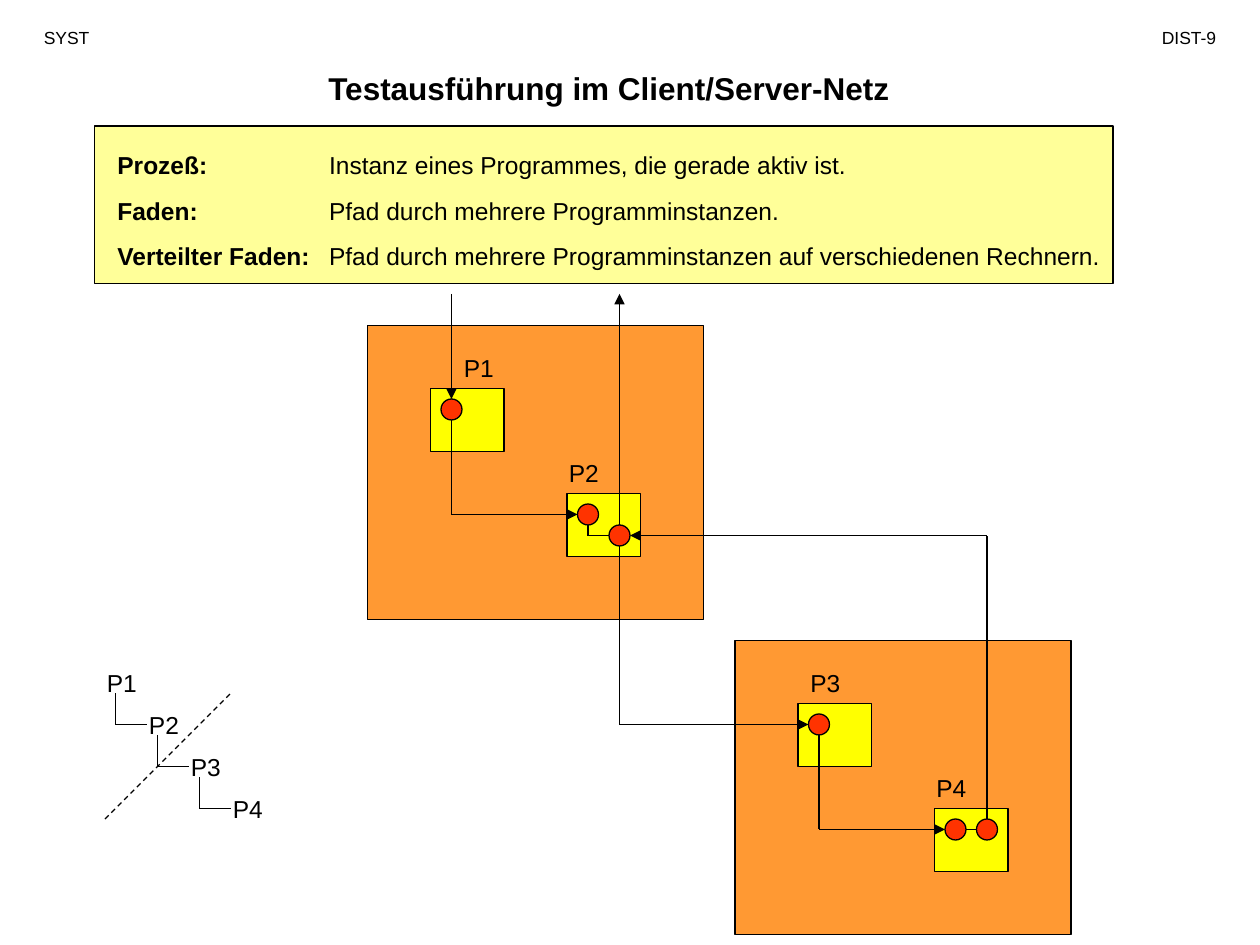
from lxml.etree import SubElement
from pptx import Presentation
from pptx.dml.color import RGBColor
from pptx.enum.dml import MSO_LINE_DASH_STYLE as Dash
from pptx.enum.shapes import MSO_CONNECTOR as Connector, MSO_SHAPE as Preset
from pptx.enum.text import MSO_ANCHOR as Anchor, PP_ALIGN as Align
from pptx.oxml.ns import qn
from pptx.util import Emu, Inches, Pt

THEME = {
    "font": "Arial", "ink": "000000", "panel": "FFFF99", "computer": "FF9933",
    "process": "FFFF00", "dot": "FF3300", "line": 0.75,
    "title": 18, "body": 14, "header": 10,
}

# Content; all places are in grid units of 1/12 inch
UNIT = Inches(1 / 12)
HEADINGS = [  # text, left, top, width, height, format
    ("Testausführung im Client/Server-Netz", (9, 6, 98, 4.8),
     {"size": "title", "bold": True, "align": Align.CENTER}),
    ("SYST", (3, 2, 11, 3.2), {"size": "header"}),
    ("DIST-9", (104, 2, 13, 3.2), {"size": "header", "align": Align.RIGHT}),
]
DEFINITIONS = [
    ("Prozeß:", "Instanz eines Programmes, die gerade aktiv ist."),
    ("Faden:", "Pfad durch mehrere Programminstanzen."),
    ("Verteilter Faden:",
     "Pfad durch mehrere Programminstanzen auf verschiedenen Rechnern."),
]
DEFINITION_TAB = 1.68
DEFINITION_GAP = 9.3

COMPUTERS = [(35, 31), (70, 61)]
COMPUTER_SIZE = (32, 28)
PROCESS_OFFSETS = [(6, 6), (19, 16)]  # inside each computer
PROCESS_SIZE = (7, 6)
DOT_CENTRES = [(43, 39), (56, 49), (59, 51), (78, 69), (91, 79), (94, 79)]
LABELS = {"P1": (43, 33), "P2": (53, 43), "P3": (76, 63), "P4": (88, 73)}
PATHS = [  # corner points, arrow at the end
    ([(43, 28), (43, 38)], True),
    ([(43, 40), (43, 49), (55, 49)], True),
    ([(56, 50), (56, 51), (58, 51)], False),
    ([(59, 50), (59, 28)], True),
    ([(59, 52), (59, 69), (77, 69)], True),
    ([(78, 70), (78, 79), (90, 79)], True),
    ([(92, 79), (93, 79)], False),
    ([(94, 78), (94, 51), (60, 51)], True),
]
TREE_START, TREE_STEP = (9, 63), 4
BOUNDARY = [(10, 78), (22, 66)]


def grid(*values):
    return [Emu(round(value * UNIT)) for value in values]


def color(name):
    return RGBColor.from_string(THEME[name])


def add_block(slide, preset, box, fill):
    shape = slide.shapes.add_shape(preset, *grid(*box))
    shape.shadow.inherit = False
    shape.fill.solid()
    shape.fill.fore_color.rgb = color(fill)
    shape.line.color.rgb = color("ink")
    shape.line.width = Pt(THEME["line"])


def add_run(paragraph, text, size="body", bold=False):
    run = paragraph.add_run()
    run.text = text
    values = {"name": THEME["font"], "size": Pt(THEME[size]), "bold": bold}
    for name, value in values.items():
        setattr(run.font, name, value)
    run.font.color.rgb = color("ink")


def add_frame(slide, box):
    frame = slide.shapes.add_textbox(*grid(*box)).text_frame
    frame.word_wrap = True
    frame.vertical_anchor = Anchor.TOP
    return frame


def add_label(slide, text, box, size="body", bold=False, align=Align.LEFT):
    paragraph = add_frame(slide, box).paragraphs[0]
    paragraph.alignment = align
    add_run(paragraph, text, size, bold)


def add_path(slide, points, arrow=False, dash=None):
    for start, end in zip(points, points[1:]):
        connector = slide.shapes.add_connector(
            Connector.STRAIGHT, *grid(*start, *end))
        connector.line.color.rgb = color("ink")
        connector.line.width = Pt(THEME["line"])
        if dash:
            connector.line.dash_style = dash
        if arrow and end == points[-1]:
            SubElement(connector.line._get_or_add_ln(), qn("a:tailEnd"),
                       type="triangle")
        SubElement(connector._element.spPr, qn("a:effectLst"))


def add_definitions(slide):
    frame = add_frame(slide, (10, 13.7, 103, 12.6))
    for index, (term, meaning) in enumerate(DEFINITIONS):
        paragraph = frame.add_paragraph() if index else frame.paragraphs[0]
        tabs = SubElement(paragraph._p.get_or_add_pPr(), qn("a:tabLst"))
        SubElement(tabs, qn("a:tab"), pos=str(Inches(DEFINITION_TAB)), algn="l")
        if index:
            paragraph.space_before = Pt(DEFINITION_GAP)
        add_run(paragraph, term + "\t", bold=True)
        add_run(paragraph, meaning)


def main():
    presentation = Presentation()
    presentation.slide_width, presentation.slide_height = Inches(10), Inches(7.5)
    slide = presentation.slides.add_slide(presentation.slide_layouts[6])

    # Headings and definitions
    add_block(slide, Preset.RECTANGLE, (9, 12, 97, 15), "panel")
    for text, box, style in HEADINGS:
        add_label(slide, text, box, **style)
    add_definitions(slide)

    # Computers with their processes
    for left, top in COMPUTERS:
        add_block(slide, Preset.RECTANGLE, (left, top, *COMPUTER_SIZE), "computer")
        for across, down in PROCESS_OFFSETS:
            add_block(slide, Preset.RECTANGLE,
                      (left + across, top + down, *PROCESS_SIZE), "process")

    # Thread through the processes
    for x, y in DOT_CENTRES:
        add_block(slide, Preset.OVAL, (x - 1, y - 1, 2, 2), "dot")
    for points, arrow in PATHS:
        add_path(slide, points, arrow)
    for text, place in LABELS.items():
        add_label(slide, text, (*place, 6, 4))

    # Call tree, cut by the boundary between the computers
    for index, text in enumerate(LABELS):
        x, y = (start + index * TREE_STEP for start in TREE_START)
        add_label(slide, text, (x, y, 8, 4))
        if index < len(LABELS) - 1:
            add_path(slide, [(x + 2, y + 3), (x + 2, y + 6), (x + 5, y + 6)])
    add_path(slide, BOUNDARY, dash=Dash.DASH)

    presentation.save("out.pptx")


if __name__ == "__main__":
    main()
